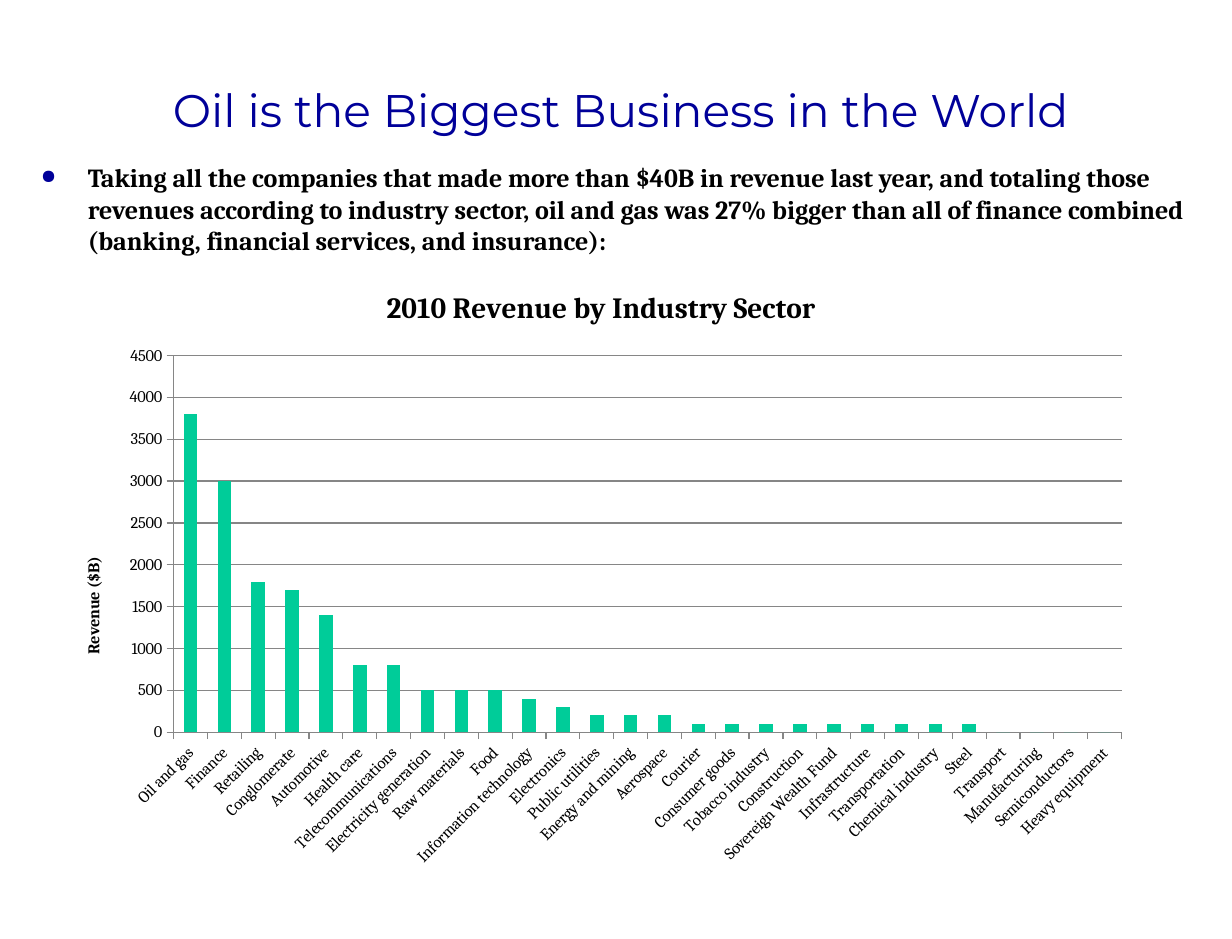
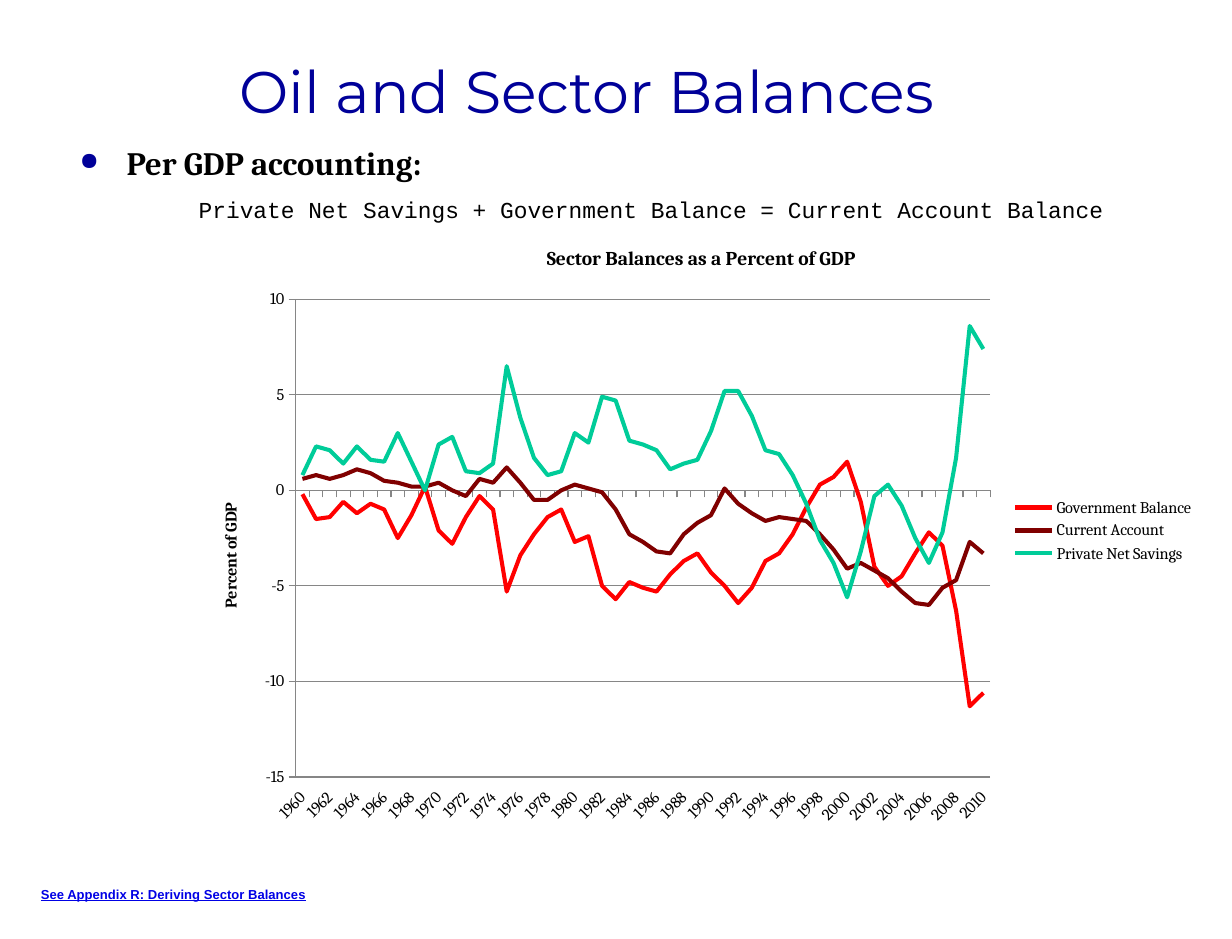
import pptx
import pptx.chart.data
import pptx.dml.color
import pptx.enum.chart
import pptx.enum.text
import pptx.oxml
import pptx.oxml.ns
import pptx.util
from lxml import etree

Inches = pptx.util.Inches
Pt = pptx.util.Pt
qn = pptx.oxml.ns.qn
CHART = pptx.enum.chart.XL_CHART_TYPE
CENTER = pptx.enum.text.PP_ALIGN.CENTER

NAVY, BLACK, WHITE, GRAY = "000099", "000000", "FFFFFF", "868686"
TEAL, RED, MAROON, LINK_BLUE = "00CC99", "FF0000", "800000", "0000E5"
TITLE_FONT, BODY_FONT = "Montserrat", "Cambria"

REVENUE = {
    "Oil and gas": 3800, "Finance": 3000, "Retailing": 1800, "Conglomerate": 1700,
    "Automotive": 1400, "Health care": 800, "Telecommunications": 800,
    "Electricity generation": 500, "Raw materials": 500, "Food": 500,
    "Information technology": 400, "Electronics": 300, "Public utilities": 200,
    "Energy and mining": 200, "Aerospace": 200, "Courier": 100, "Consumer goods": 100,
    "Tobacco industry": 100, "Construction": 100, "Sovereign Wealth Fund": 100,
    "Infrastructure": 100, "Transportation": 100, "Chemical industry": 100, "Steel": 100,
    "Transport": 0, "Manufacturing": 0, "Semiconductors": 0, "Heavy equipment": 0,
}
YEARS = [str(year) for year in range(1960, 2011)]
BALANCES = {
    "Government Balance": [
        -0.2, -1.5, -1.4, -0.6, -1.2, -0.7, -1, -2.5, -1.3, 0.2, -2.1, -2.8, -1.4,
        -0.3, -1, -5.3, -3.4, -2.3, -1.4, -1, -2.7, -2.4, -5, -5.7, -4.8, -5.1, -5.3,
        -4.4, -3.7, -3.3, -4.3, -5, -5.9, -5.1, -3.7, -3.3, -2.3, -0.9, 0.3, 0.7, 1.5,
        -0.6, -4, -5, -4.5, -3.3, -2.2, -2.9, -6.3, -11.3, -10.6],
    "Current Account": [
        0.6, 0.8, 0.6, 0.8, 1.1, 0.9, 0.5, 0.4, 0.2, 0.2, 0.4, 0, -0.3, 0.6, 0.4, 1.2,
        0.4, -0.5, -0.5, 0, 0.3, 0.1, -0.1, -1, -2.3, -2.7, -3.2, -3.3, -2.3, -1.7,
        -1.3, 0.1, -0.7, -1.2, -1.6, -1.4, -1.5, -1.6, -2.3, -3.1, -4.1, -3.8, -4.2,
        -4.6, -5.3, -5.9, -6, -5.1, -4.7, -2.7, -3.3],
    "Private Net Savings": [
        0.8, 2.3, 2.1, 1.4, 2.3, 1.6, 1.5, 3, 1.5, 0, 2.4, 2.8, 1, 0.9, 1.4, 6.5, 3.8,
        1.7, 0.8, 1, 3, 2.5, 4.9, 4.7, 2.6, 2.4, 2.1, 1.1, 1.4, 1.6, 3.1, 5.2, 5.2,
        3.9, 2.1, 1.9, 0.8, -0.7, -2.6, -3.8, -5.6, -3.2, -0.3, 0.3, -0.8, -2.5, -3.8,
        -2.2, 1.7, 8.6, 7.4],
}


def rgb(value):
    return pptx.dml.color.RGBColor.from_string(value)


def style_font(font, size, color=BLACK, name=BODY_FONT, bold=False):
    font.size, font.name, font.bold = Pt(size), name, bold
    font.color.rgb = rgb(color)


def set_indent(paragraph, left, first):
    properties = paragraph._p.get_or_add_pPr()
    properties.set("marL", str(Inches(left)))
    properties.set("indent", str(Inches(first)))
    return properties


def place_in_chart(element, index, frame, **edges):
    """Fix a chart part by slide positions in inches, as fractions of the chart frame."""
    for layout in element.findall(qn("c:layout")):
        element.remove(layout)
    layout = etree.Element(qn("c:layout"))
    manual = etree.SubElement(layout, qn("c:manualLayout"))
    if "w" in edges:
        etree.SubElement(manual, qn("c:layoutTarget")).set("val", "inner")
    for mode in ("xMode", "yMode"):
        etree.SubElement(manual, qn(f"c:{mode}")).set("val", "edge")
    left, top, width, height = frame
    start = {"x": left, "y": top, "w": 0, "h": 0}
    extent = {"x": width, "y": height, "w": width, "h": height}
    for key, value in edges.items():
        fraction = (value - start[key]) / extent[key]
        etree.SubElement(manual, qn(f"c:{key}")).set("val", f"{fraction:.4f}")
    element.insert(index, layout)


class Deck:
    def __init__(self):
        self.presentation = pptx.Presentation()
        self.presentation.slide_width = Inches(10.5)
        self.presentation.slide_height = Inches(8)
        self.slide = None

    def add_slide(self, title, box, size):
        self.slide = self.presentation.slides.add_slide(self.presentation.slide_layouts[5])
        heading = self.slide.shapes.title
        heading.left, heading.top, heading.width, heading.height = map(Inches, box)
        heading.fill.solid()
        heading.fill.fore_color.rgb = rgb(WHITE)
        frame = heading.text_frame
        frame.text = title
        frame.word_wrap = True
        frame.vertical_anchor = pptx.enum.text.MSO_ANCHOR.MIDDLE
        paragraph = frame.paragraphs[0]
        paragraph.alignment = CENTER
        paragraph.line_spacing = 0.95
        style_font(paragraph.runs[0].font, size, NAVY, TITLE_FONT)

    def add_text(self, text, box, size, **style):
        frame = self.slide.shapes.add_textbox(*map(Inches, box)).text_frame
        frame.word_wrap = True
        frame.text = text
        style_font(frame.paragraphs[0].runs[0].font, size, bold=True, **style)
        return frame

    def add_bullet(self, text, box, size):
        frame = self.add_text(text, box, size)
        properties = set_indent(frame.paragraphs[0], 0.4, -0.4)
        bullet_color = etree.SubElement(properties, qn("a:buClr"))
        etree.SubElement(bullet_color, qn("a:srgbClr")).set("val", NAVY)
        etree.SubElement(properties, qn("a:buSzPct")).set("val", "75000")
        etree.SubElement(properties, qn("a:buChar")).set("char", "●")
        return frame

    def add_formula(self, frame, text):
        paragraph = frame.add_paragraph()
        paragraph.text = text
        set_indent(paragraph, 0.86, -0.33)
        paragraph.alignment = CENTER
        paragraph.space_before = Pt(8)
        style_font(paragraph.runs[0].font, 14, name="Courier New")

    def add_chart(self, kind, frame, categories, series, title, title_size, title_at,
                  value_title, value_title_at, plot_area, scale):
        data = pptx.chart.data.CategoryChartData()
        data.categories = categories
        for name, values in series.items():
            data.add_series(name, values)
        chart = self.slide.shapes.add_chart(kind, *map(Inches, frame), data).chart
        style_font(chart.font, 10)
        chart.has_legend = False
        chart.plots[0].vary_by_categories = False

        value_axis, category_axis = chart.value_axis, chart.category_axis
        value_axis.minimum_scale, value_axis.maximum_scale, value_axis.major_unit = scale
        value_axis.has_major_gridlines = True
        lines = [value_axis.major_gridlines.format.line]
        for axis in (value_axis, category_axis):
            axis.major_tick_mark = pptx.enum.chart.XL_TICK_MARK.OUTSIDE
            axis.minor_tick_mark = pptx.enum.chart.XL_TICK_MARK.NONE
            style_font(axis.tick_labels.font, 10)
            lines.append(axis.format.line)
        for line in lines:
            line.color.rgb = rgb(GRAY)
            line.width = Pt(0.75)
        category_axis._element.txPr.bodyPr.set("rot", str(-45 * 60000))

        for owner, text, size, (x, y) in ((chart, title, title_size, title_at),
                                          (value_axis, value_title, 10, value_title_at)):
            owner.has_title = True
            caption = owner.chart_title if owner is chart else owner.axis_title
            caption.text_frame.text = text
            style_font(caption.text_frame.paragraphs[0].runs[0].font, size, bold=True)
            place_in_chart(caption._element, 1, frame, x=x, y=y)
        x, y, w, h = plot_area
        place_in_chart(chart._chartSpace.chart.plotArea, 0, frame, x=x, y=y, w=w, h=h)
        return chart


def build_revenue_slide(deck):
    deck.add_slide("Oil is the Biggest Business in the World", (0.83, 0.33, 8.92, 1.25), 28)
    deck.add_bullet(
        "Taking all the companies that made more than $40B in revenue last year, and "
        "totaling those revenues according to industry sector, oil and gas was 27% bigger "
        "than all of finance combined (banking, financial services, and insurance):",
        (0.25, 1.33, 10.17, 1), 16)
    title = "2010 Revenue by Industry Sector"
    chart = deck.add_chart(
        CHART.COLUMN_CLUSTERED, (0.5, 2.25, 9.25, 5.23), list(REVENUE),
        {title: list(REVENUE.values())}, title, 18, (3.25, 2.41),
        "Revenue ($B)", (0.68, 4.72), (1.48, 3.03, 8.08, 3.21), (0, 4500, 500))
    plot = chart.plots[0]
    plot.gap_width = 150
    fill = plot.series[0].format.fill
    fill.solid()
    fill.fore_color.rgb = rgb(TEAL)


def build_balances_slide(deck):
    deck.add_slide("Oil and Sector Balances", (0.75, 0.17, 8.5, 1.25), 36)
    accounting = deck.add_bullet("Per GDP accounting:", (0.58, 1.17, 9.42, 0.8), 20)
    deck.add_formula(
        accounting, "Private Net Savings + Government Balance = Current Account Balance")
    chart = deck.add_chart(
        CHART.LINE, (1.67, 1.92, 8.61, 5.2), YEARS, BALANCES,
        "Sector Balances as a Percent of GDP", 12, (4.63, 2.07),
        "Percent of GDP", (1.85, 4.26), (2.52, 2.55, 5.92, 4.07), (-15, 10, 5))
    for series, color in zip(chart.plots[0].series, (RED, MAROON, TEAL)):
        series.smooth = False
        series.format.line.color.rgb = rgb(color)
        series.format.line.width = Pt(2.5)
    years = chart.category_axis
    years.tick_label_position = pptx.enum.chart.XL_TICK_LABEL_POSITION.LOW
    label_step = etree.Element(qn("c:tickLblSkip"))
    label_step.set("val", "2")
    years._element.find(qn("c:noMultiLvlLbl")).addprevious(label_step)
    chart.has_legend = True
    chart.legend.position = pptx.enum.chart.XL_LEGEND_POSITION.RIGHT
    chart.legend.include_in_layout = False
    style_font(chart.legend.font, 10)
    appendix = deck.add_text("See Appendix R: Deriving Sector Balances",
                             (0.25, 7.5, 3.92, 0.24), 8, color=LINK_BLUE, name="Arial")
    appendix.paragraphs[0].runs[0].font.underline = True


def main():
    deck = Deck()
    build_revenue_slide(deck)
    build_balances_slide(deck)
    deck.presentation.save("out.pptx")


if __name__ == "__main__":
    main()
